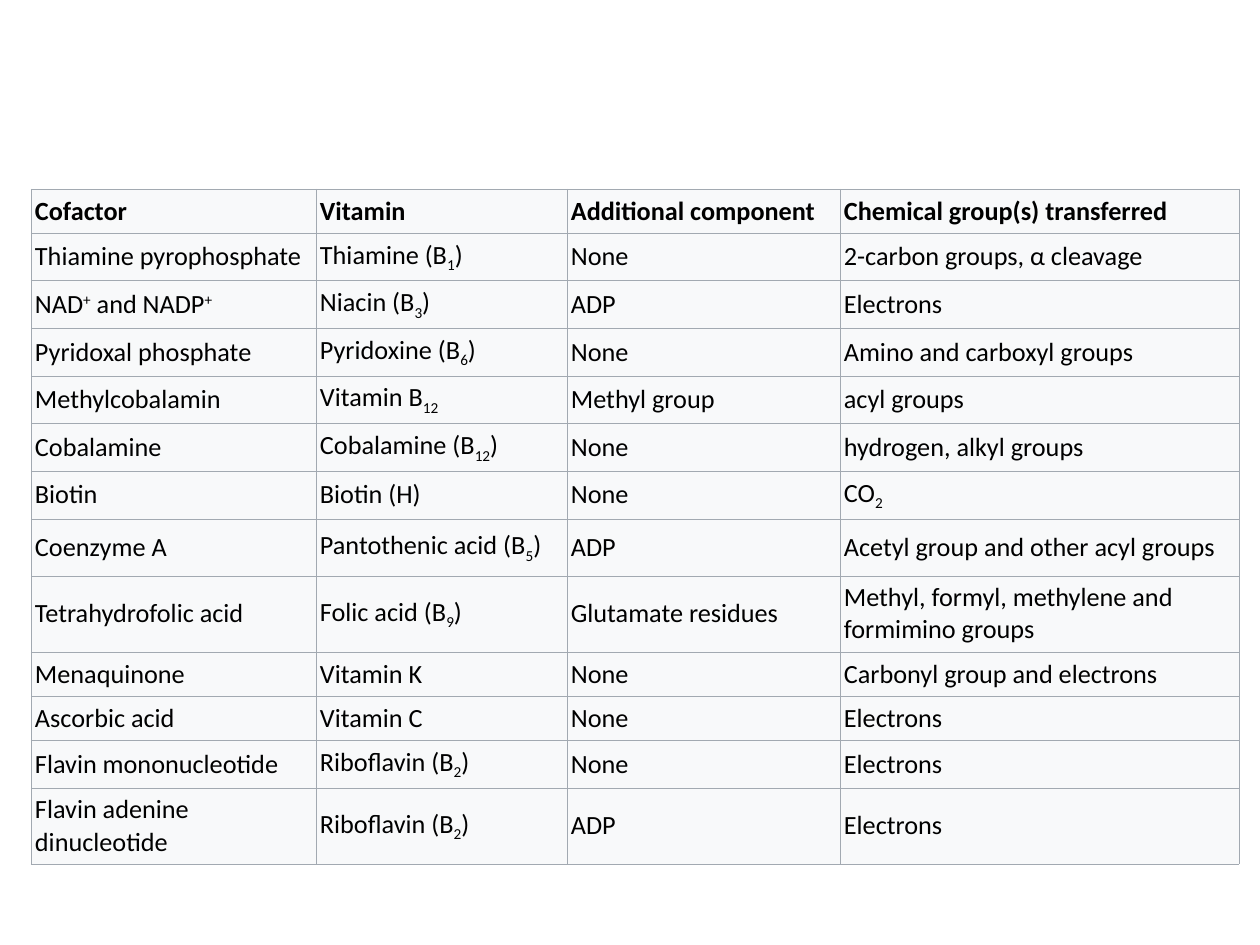
from lxml import etree
from pptx import Presentation
from pptx.dml.color import RGBColor
from pptx.enum.text import MSO_ANCHOR
from pptx.oxml.ns import qn
from pptx.util import Pt

MIDDLE = MSO_ANCHOR.MIDDLE
PX = 914400 / 126
BLANK_LAYOUT = 6

BLACK = RGBColor(0x00, 0x00, 0x00)
PALE = RGBColor(0xF8, 0xF9, 0xFA)
BORDER = RGBColor(0xA2, 0xA9, 0xB1)
BORDER_WIDTH = Pt(0.34)

# A "|" parts the runs of a cell; a leading "_" lowers a run and "^" raises it.
BASELINES = {"_": "-25000", "^": "30000"}

COLUMN_WIDTHS = [285, 251, 273, 399]
ROW_HEIGHT = 44
TALL_ROWS = {7: 57, 8: 68, 12: 68}
COFACTORS = [
    ("Cofactor", "Vitamin", "Additional component", "Chemical group(s) transferred"),
    ("Thiamine pyrophosphate", "Thiamine (B|_1|)", "None", "2-carbon groups, α cleavage"),
    ("NAD|^+| and NADP|^+", "Niacin (B|_3|)", "ADP", "Electrons"),
    ("Pyridoxal phosphate", "Pyridoxine (B|_6|)", "None", "Amino and carboxyl groups"),
    ("Methylcobalamin", "Vitamin B|_12", "Methyl group", "acyl groups"),
    ("Cobalamine", "Cobalamine (B|_12|)", "None", "hydrogen, alkyl groups"),
    ("Biotin", "Biotin (H)", "None", "CO|_2"),
    ("Coenzyme A", "Pantothenic acid (B|_5|)", "ADP", "Acetyl group and other acyl groups"),
    ("Tetrahydrofolic acid", "Folic acid (B|_9|)", "Glutamate residues",
     "Methyl, formyl, methylene and formimino groups"),
    ("Menaquinone", "Vitamin K", "None", "Carbonyl group and electrons"),
    ("Ascorbic acid", "Vitamin C", "None", "Electrons"),
    ("Flavin mononucleotide", "Riboflavin (B|_2|)", "None", "Electrons"),
    ("Flavin adenine dinucleotide", "Riboflavin (B|_2|)", "ADP", "Electrons"),
]


def px(length):
    return round(length * PX)


CELL_FORMAT = {
    "margin_left": px(4), "margin_right": px(4),
    "margin_top": px(6), "margin_bottom": px(6),
    "vertical_anchor": MIDDLE,
}
FONT_FORMAT = {"name": "Calibri", "size": Pt(15)}


def apply_format(target, values):
    for name, value in values.items():
        setattr(target, name, value)


def add_borders(cell):
    """Border lines must stand before the fill in the cell properties."""
    properties = cell._tc.get_or_add_tcPr()
    for side in ("lnL", "lnR", "lnT", "lnB"):
        line = etree.SubElement(properties, qn(f"a:{side}"), w=str(BORDER_WIDTH))
        fill = etree.SubElement(line, qn("a:solidFill"))
        etree.SubElement(fill, qn("a:srgbClr"), val=str(BORDER))


def write_runs(para, text, bold):
    for part in text.split("|"):
        baseline = BASELINES.get(part[0])
        span = para.add_run()
        span.text = part[1:] if baseline else part
        apply_format(span.font, {**FONT_FORMAT, "bold": bold})
        span.font.color.rgb = BLACK
        if baseline:
            span._r.get_or_add_rPr().set("baseline", baseline)


def add_cofactor_table(page, left, top):
    heights = [TALL_ROWS.get(index, ROW_HEIGHT) for index in range(len(COFACTORS))]
    frame = page.shapes.add_table(
        len(heights), len(COLUMN_WIDTHS), px(left), px(top),
        px(sum(COLUMN_WIDTHS)), px(sum(heights)))
    table = frame.table
    table.horz_banding = False
    for column, width in zip(table.columns, COLUMN_WIDTHS):
        column.width = px(width)
    for row_index, (row, height, texts) in enumerate(zip(table.rows, heights, COFACTORS)):
        row.height = px(height)
        for cell, text in zip(row.cells, texts):
            apply_format(cell, CELL_FORMAT)
            add_borders(cell)
            cell.fill.solid()
            cell.fill.fore_color.rgb = PALE
            write_runs(cell.text_frame.paragraphs[0], text, bold=row_index == 0)


def main():
    deck = Presentation()
    deck.slide_width, deck.slide_height = px(1260), px(945)
    page = deck.slides.add_slide(deck.slide_layouts[BLANK_LAYOUT])
    add_cofactor_table(page, left=31, top=189)
    deck.save("out.pptx")


if __name__ == "__main__":
    main()
